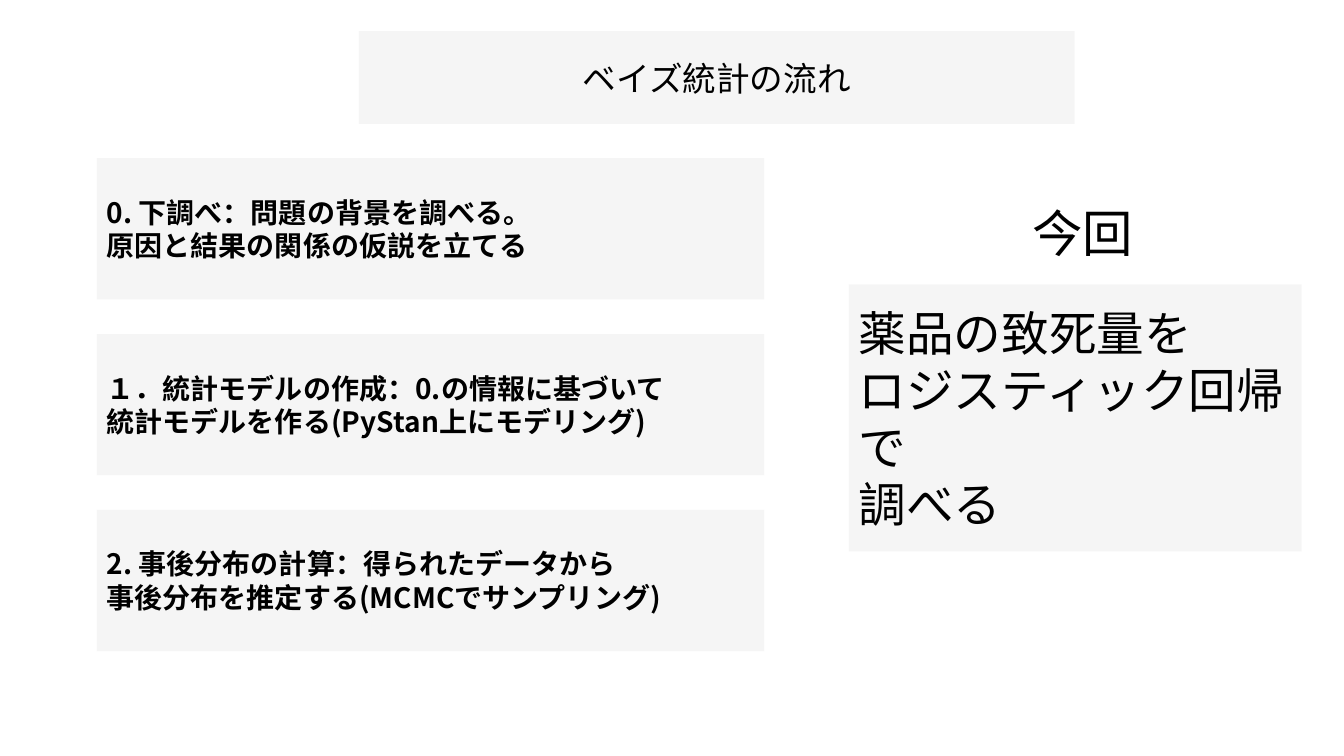
from lxml import etree
from pptx import Presentation
from pptx import util as u
from pptx.dml.color import RGBColor
from pptx.enum import shapes, text
from pptx.oxml import ns

HUES = {"panel": "EDEDED", "ink": "000000"}
FACE = "Noto Sans CJK JP"
CELL = u.Inches(0.1)
STEPS = [
    ["0. 下調べ：問題の背景を調べる。", "原因と結果の関係の仮説を立てる"],
    ["１．統計モデルの作成：0.の情報に基づいて", "統計モデルを作る(PyStan上にモデリング)"],
    ["2. 事後分布の計算：得られたデータから", "事後分布を推定する(MCMCでサンプリング)"],
]


def grid(*cells):
    """Turn grid columns and rows into lengths."""
    return [round(n * CELL) for n in cells]


def write(frame, lines, size, bold=False, align=text.PP_ALIGN.LEFT):
    """Put one paragraph per line into a text frame."""
    look = {"size": u.Pt(size), "bold": bold, "name": FACE}
    for i, line in enumerate(lines):
        para = frame.add_paragraph() if i else frame.paragraphs[0]
        para.alignment = align
        run = para.add_run()
        run.text = line
        run.font.color.rgb = RGBColor.from_string(HUES["ink"])
        for key, val in look.items():
            setattr(run.font, key, val)
        etree.SubElement(run._r.get_or_add_rPr(), ns.qn("a:ea"), typeface=FACE)


def panel(slide, cells, lines, size, **look):
    """Draw a half-transparent panel with text."""
    box = slide.shapes.add_shape(shapes.MSO_SHAPE.RECTANGLE, *grid(*cells))
    box.shadow.inherit = False
    box.line.fill.background()
    box.fill.solid()
    box.fill.fore_color.rgb = RGBColor.from_string(HUES["panel"])
    tint = box.fill._xPr.find(".//" + ns.qn("a:srgbClr"))
    etree.SubElement(tint, ns.qn("a:alpha"), val="50000")
    box.text_frame.vertical_anchor = text.MSO_ANCHOR.MIDDLE
    box.text_frame.word_wrap = True
    write(box.text_frame, lines, size, **look)


def label(slide, cells, words, size):
    """Place a free line of text."""
    frame = slide.shapes.add_textbox(*grid(*cells)).text_frame
    frame.word_wrap = False
    frame.auto_size = text.MSO_AUTO_SIZE.SHAPE_TO_FIT_TEXT
    write(frame, [words], size)


def main():
    """Build and save the slide."""
    deck = Presentation()
    deck.slide_width, deck.slide_height = u.Inches(13.33), u.Inches(7.5)
    slide = deck.slides.add_slide(deck.slide_layouts[6])
    panel(slide, (35.6, 3.1, 71, 9.2), ["ベイズ統計の流れ"], 24,
          align=text.PP_ALIGN.CENTER)
    for i, lines in enumerate(STEPS):
        panel(slide, (9.6, 15.7 + 17.45 * i, 66.2, 14), lines, 20, bold=True)
    panel(slide, (84.2, 28.2, 44.9, 26.5),
          ["薬品の致死量を", "ロジスティック回帰で", "調べる"], 34)
    label(slide, (101.4, 19.6, 12.1, 7.1), "今回", 36)
    deck.save("out.pptx")


if __name__ == "__main__":
    main()
